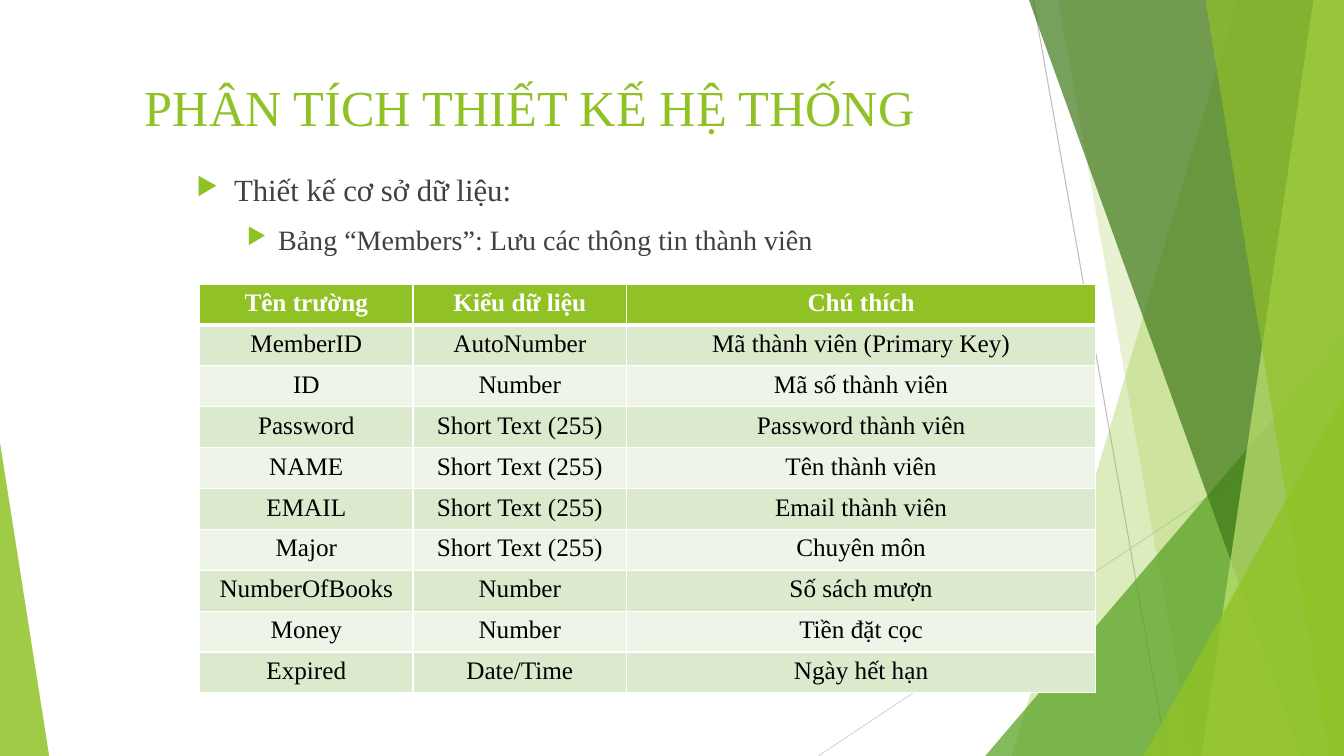
from lxml import etree
from pptx import Presentation
from pptx.dml.color import RGBColor
from pptx.enum.shapes import MSO_CONNECTOR, MSO_SHAPE
from pptx.enum.text import MSO_ANCHOR, PP_ALIGN
from pptx.oxml.ns import qn
from pptx.util import Cm, Pt

LINE = MSO_CONNECTOR.STRAIGHT
PEAK = MSO_SHAPE.ISOSCELES_TRIANGLE
MID, TOP = MSO_ANCHOR.MIDDLE, MSO_ANCHOR.TOP
CENTER = PP_ALIGN.CENTER
FONT = "Times New Roman"
LIME, GRAY, WHITE = "90C226", "404040", "FFFFFF"
WIDE, HIGH = 33.87, 19.05
ROWS = [
    ("Tên trường", "Kiểu dữ liệu", "Chú thích"),
    ("MemberID", "AutoNumber", "Mã thành viên (Primary Key)"),
    ("ID", "Number", "Mã số thành viên"),
    ("Password", "Short Text (255)", "Password thành viên"),
    ("NAME", "Short Text (255)", "Tên thành viên"),
    ("EMAIL", "Short Text (255)", "Email thành viên"),
    ("Major", "Short Text (255)", "Chuyên môn"),
    ("NumberOfBooks", "Number", "Số sách mượn"),
    ("Money", "Number", "Tiền đặt cọc"),
    ("Expired", "Date/Time", "Ngày hết hạn"),
]


def rgb(code):
    """Turn a hex string into a colour."""
    return RGBColor.from_string(code)


def sub(node, tag, **attrs):
    """Append a child element with attributes."""
    child = etree.SubElement(node, qn(tag))
    for key, value in attrs.items():
        child.set(key, str(value))
    return child


def tint(shape, code, alpha):
    """Give a shape a see-through fill without line or shadow."""
    shape.shadow.inherit = False
    shape.line.fill.background()
    shape.fill.solid()
    shape.fill.fore_color.rgb = rgb(code)
    color = shape._element.spPr.find(qn("a:solidFill"))[0]
    sub(color, "a:alpha", val=alpha * 1000)


def peak(slide, x, y, w, h, lean, code, alpha):
    """Draw a right triangle with its tip at one side."""
    shape = slide.shapes.add_shape(PEAK, Cm(x), Cm(y), Cm(w), Cm(h))
    shape.adjustments[0] = lean
    tint(shape, code, alpha)


def band(slide, x, y, w, h, head, foot, code, alpha):
    """Draw a slanted band that reaches the right edge of the box."""
    pen = slide.shapes.build_freeform(Cm(x + head), Cm(y))
    pen.add_line_segments([(Cm(x + w), Cm(y)), (Cm(x + w), Cm(y + h)),
                           (Cm(x + foot), Cm(y + h))])
    tint(pen.convert_to_shape(), code, alpha)


def rule(slide, x, y, ends, code):
    """Draw a thin line between two points of the box."""
    x1, y1, x2, y2 = ends
    line = slide.shapes.add_connector(
        LINE, Cm(x + x1), Cm(y + y1), Cm(x + x2), Cm(y + y2))
    line.line.color.rgb = rgb(code)
    line.line.width = Pt(0.75)
    sub(line._element.spPr, "a:effectLst")


def facets(slide, x, y, w, h):
    """Draw the layered facets of the right side."""
    rule(slide, x, y, (5.42, 0, 8.79, h), "BFBFBF")
    rule(slide, x, y, (w, 10.24, 0, h), "D9D9D9")
    box = (x, y, w, h)
    for spec in [(10.57, 4.88, LIME, 30), (6.05, 9.43, LIME, 20)]:
        band(slide, *box, *spec)
    peak(slide, x + w - 9.04, y + h - 10.59, 9.04, 10.59, 1, "54A021", 72)
    for spec in [(5.31, 12.17, "3F7819", 70), (12.48, 9.66, "C0E474", 70),
                 (9.76, 12.86, LIME, 65)]:
        band(slide, *box, *spec)
    peak(slide, x + w - 5.05, y + h - 9.07, 5.05, 9.07, 1, LIME, 80)


def write(para, text, size, code, bold=False):
    """Add one run to a paragraph."""
    run = para.add_run()
    run.text = text
    run.font.name, run.font.size, run.font.bold = FONT, Pt(size), bold
    run.font.color.rgb = rgb(code)


def frame(slide, x, y, w, h, anchor):
    """Add a wrapping text box and return its text frame."""
    text = slide.shapes.add_textbox(Cm(x), Cm(y), Cm(w), Cm(h)).text_frame
    text.word_wrap = True
    text.vertical_anchor = anchor
    return text


def title(slide, x, y, w, h):
    """Write the slide title."""
    text = frame(slide, x, y, w, h, MID)
    write(text.paragraphs[0], "PHÂN TÍCH THIẾT KẾ HỆ THỐNG", 36, LIME)


def body(slide, x, y, w, h):
    """Write the bulleted lines."""
    text = frame(slide, x, y, w, h, TOP)
    lines = [("Thiết kế cơ sở dữ liệu:", 22, 0.95, 0.95),
             ("Bảng “Members”: Lưu các thông tin thành viên", 20, 2.06, 0.79)]
    for level, (words, size, left, hang) in enumerate(lines):
        para = text.add_paragraph() if level else text.paragraphs[0]
        para.level = level
        para.space_before = Pt(10)
        props = para._p.get_or_add_pPr()
        props.set("marL", str(Cm(left)))
        props.set("indent", str(-Cm(hang)))
        sub(sub(props, "a:buClr"), "a:srgbClr", val=LIME)
        sub(props, "a:buSzPct", val=80000)
        sub(props, "a:buChar", char="▶")
        write(para, words, size, GRAY)


def edge(cell, row):
    """Draw white borders, thicker under the header."""
    props = cell._tc.get_or_add_tcPr()
    for side in "LRTB":
        thick = (row, side) in [(0, "B"), (1, "T")]
        line = sub(props, "a:ln" + side, w=Pt(3 if thick else 1))
        sub(sub(line, "a:solidFill"), "a:srgbClr", val=WHITE)


def fields(slide, x, y, w, h):
    """Build the table of member fields."""
    table = slide.shapes.add_table(
        len(ROWS), 3, Cm(x), Cm(y), Cm(w), Cm(h)).table
    for col, width in zip(table.columns, (5.38, 5.38, w - 10.76)):
        col.width = Cm(width)
    for i, row in enumerate(ROWS):
        table.rows[i].height = Cm(h / len(ROWS))
        fill = ("DBE9CD" if i % 2 else "EEF4E8") if i else LIME
        for j, words in enumerate(row):
            cell = table.cell(i, j)
            edge(cell, i)
            cell.fill.solid()
            cell.fill.fore_color.rgb = rgb(fill)
            para = cell.text_frame.paragraphs[0]
            para.alignment = CENTER
            write(para, words, 18, "000000" if i else WHITE, not i)


def main():
    """Build and save the deck."""
    deck = Presentation()
    deck.slide_width, deck.slide_height = Cm(WIDE), Cm(HIGH)
    slide = deck.slides.add_slide(deck.slide_layouts[6])
    facets(slide, 20.62, 0, WIDE - 20.62, HIGH)
    peak(slide, 0, HIGH - 7.9, 1.24, 7.9, 0, LIME, 85)
    title(slide, 3.4, 1.57, 24.77, 2.24)
    body(slide, 4.7, 4.19, 25.32, 14.02)
    fields(slide, 5.03, 7.16, 22.58, 10.3)
    deck.save("out.pptx")


main()
